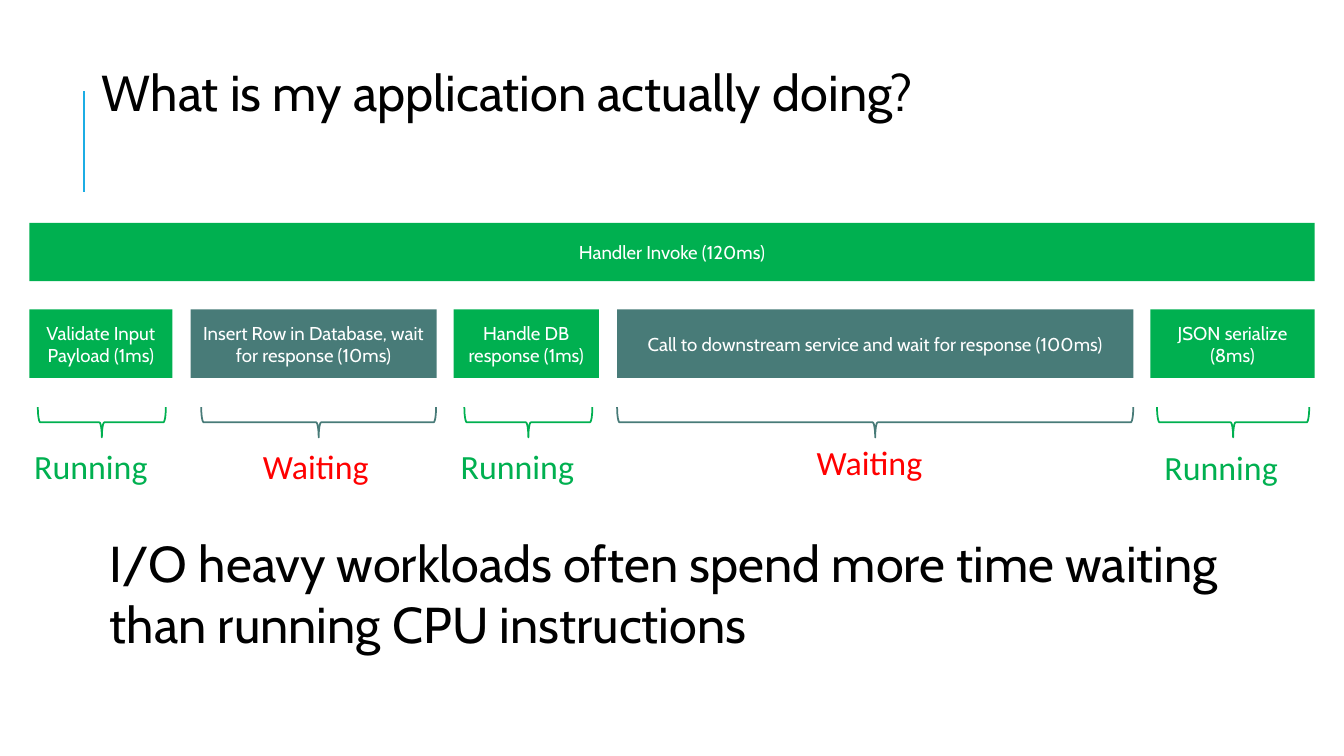
from dataclasses import dataclass

from lxml import etree
from pptx import Presentation
from pptx.dml.color import RGBColor
from pptx.enum.shapes import MSO_CONNECTOR, MSO_SHAPE
from pptx.enum.text import MSO_ANCHOR, MSO_AUTO_SIZE, PP_ALIGN
from pptx.oxml.ns import qn
from pptx.slide import Slide
from pptx.text.text import TextFrame
from pptx.util import Inches, Pt

GREEN = RGBColor(0x00, 0xB0, 0x50)
SLATE = RGBColor(0x48, 0x7B, 0x78)
RED = RGBColor(0xFF, 0x00, 0x00)
BLUE = RGBColor(0x1C, 0xAD, 0xE4)
WHITE = RGBColor(0xFF, 0xFF, 0xFF)
BLACK = RGBColor(0x00, 0x00, 0x00)

STEP_TOP = 3.07
STEP_HEIGHT = 0.68
BRACE_MIDDLE = 4.19
BRACE_DEPTH = 0.3


@dataclass(frozen=True)
class Step:
    text: str
    left: float
    width: float
    waiting: bool
    brace_center: float
    brace_span: float
    label_left: float
    label_top: float = 4.37


STEPS = (
    Step("Validate Input Payload (1ms)", 0.29, 1.42, False, 1.01, 1.27, 0.24),
    Step("Insert Row in Database, wait for response (10ms)",
         1.89, 2.44, True, 3.16, 2.33, 2.51),
    Step("Handle DB response (1ms)", 4.5, 1.44, False, 5.24, 1.27, 4.47),
    Step("Call to downstream service and wait for response (100ms)",
         6.12, 5.12, True, 8.68, 5.12, 8, 4.33),
    Step("JSON serialize (8ms)", 11.41, 1.63, False, 12.23, 1.51, 11.45, 4.38),
)


def write(frame: TextFrame, text: str, font: str, size: float, color: RGBColor,
          align: PP_ALIGN = PP_ALIGN.LEFT) -> None:
    frame.word_wrap = True
    para = frame.paragraphs[0]
    para.alignment = align
    run = para.add_run()
    run.text = text
    run.font.name = font
    run.font.size = Pt(size)
    run.font.color.rgb = color


def write_heading(frame: TextFrame, text: str) -> None:
    frame.auto_size = MSO_AUTO_SIZE.NONE
    frame.vertical_anchor = MSO_ANCHOR.TOP
    frame.margin_left = frame.margin_right = Inches(0.08)
    frame.margin_top = frame.margin_bottom = Inches(0.04)
    write(frame, text, "Cabin", 36, BLACK)


def add_block(page: Slide, text: str, left: float, top: float, width: float,
              height: float, color: RGBColor) -> None:
    block = page.shapes.add_shape(MSO_SHAPE.RECTANGLE, Inches(left), Inches(top),
                                  Inches(width), Inches(height))
    block.shadow.inherit = False
    block.fill.solid()
    block.fill.fore_color.rgb = color
    block.line.fill.background()
    block.text_frame.vertical_anchor = MSO_ANCHOR.MIDDLE
    write(block.text_frame, text, "Cabin", 13.3, WHITE, PP_ALIGN.CENTER)


def add_brace(page: Slide, center: float, width: float, color: RGBColor) -> None:
    brace = page.shapes.add_shape(
        MSO_SHAPE.RIGHT_BRACE, Inches(center - BRACE_DEPTH / 2),
        Inches(BRACE_MIDDLE - width / 2), Inches(BRACE_DEPTH), Inches(width))
    brace.rotation = 90
    brace.shadow.inherit = False
    brace.fill.background()
    brace.line.color.rgb = color
    brace.line.width = Pt(1.25)


def add_step(page: Slide, step: Step) -> None:
    color = SLATE if step.waiting else GREEN
    add_block(page, step.text, step.left, STEP_TOP, step.width, STEP_HEIGHT, color)
    add_brace(page, step.brace_center, step.brace_span, color)
    label = page.shapes.add_textbox(Inches(step.label_left), Inches(step.label_top),
                                    Inches(1.65), Inches(0.51))
    label.text_frame.auto_size = MSO_AUTO_SIZE.SHAPE_TO_FIT_TEXT
    state, state_color = ("Waiting", RED) if step.waiting else ("Running", GREEN)
    write(label.text_frame, state, "Calibri", 24.2, state_color)


def add_accent(page: Slide) -> None:
    accent = page.shapes.add_connector(MSO_CONNECTOR.STRAIGHT, Inches(0.83),
                                       Inches(1.9), Inches(0.83), Inches(0.9))
    accent.line.color.rgb = BLUE
    accent.line.width = Pt(1.5)
    etree.SubElement(accent._element.spPr, qn("a:effectLst"))


def main() -> None:
    deck = Presentation()
    deck.slide_width = Inches(13.33)
    deck.slide_height = Inches(7.5)
    page = deck.slides.add_slide(deck.slide_layouts[5])

    title = page.shapes.title
    title.left, title.top = Inches(0.93), Inches(0.57)
    title.width, title.height = Inches(11.48), Inches(0.91)
    write_heading(title.text_frame, "What is my application actually doing?")

    add_accent(page)
    add_block(page, "Handler Invoke (120ms)", 0.29, 2.21, 12.75, 0.58, GREEN)
    for step in STEPS:
        add_step(page, step)

    summary = page.shapes.add_textbox(Inches(1.01), Inches(5.24),
                                      Inches(11.48), Inches(1.37))
    write_heading(summary.text_frame, "I/O heavy workloads often spend more time "
                                      "waiting than running CPU instructions")
    deck.save("out.pptx")


if __name__ == "__main__":
    main()
